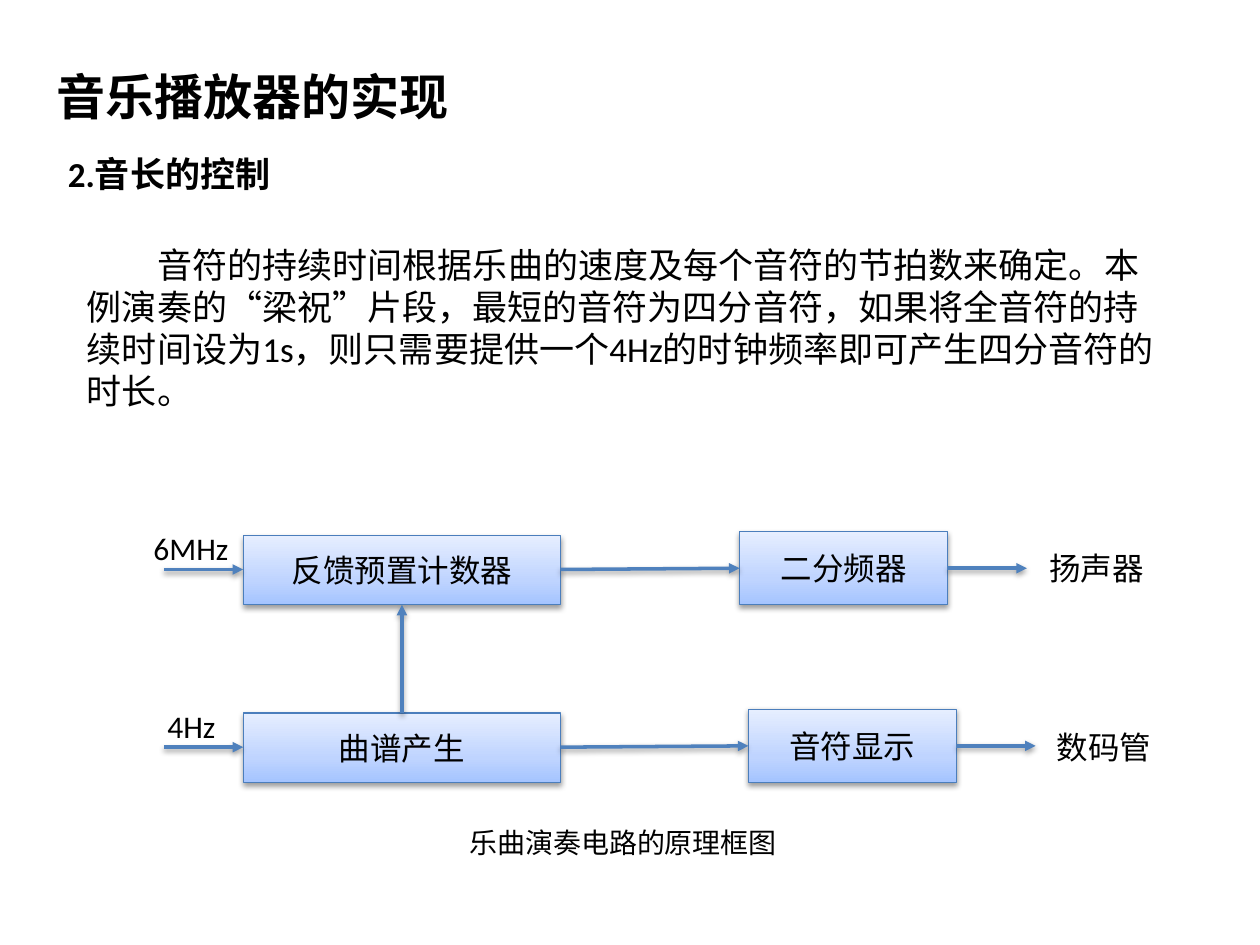
from copy import deepcopy

from pptx import Presentation, util as u
from pptx.dml.color import RGBColor
from pptx.enum import shapes, text
from pptx.oxml import parse_xml
from pptx.oxml.ns import nsdecls, qn

COLORS = {"ink": "000000", "border": "4B7EBC", "arrow": "4F81BD", "shadow": "000000"}
BLUE_STOPS = [(0, "A4C4FF"), (0.35, "BFD4FF"), (1, "E6EEFF")]
ROW_PITCH = 1.41


def rgb(name):
    return RGBColor.from_string(COLORS[name])


def write(frame, words, size, font="Calibri", bold=False, align=text.PP_ALIGN.LEFT):
    frame.text = words
    para = frame.paragraphs[0]
    para.alignment = align
    span = para.runs[0]
    span.font.size, span.font.bold = u.Pt(size), bold
    span.font.name, span.font.color.rgb = font, rgb("ink")
    return para


def place(item, left, top, width, height):
    item.left, item.top = u.Inches(left), u.Inches(top)
    item.width, item.height = u.Inches(width), u.Inches(height)


def add_shadow(item):
    properties = item._element.spPr
    for effects in properties.findall(qn("a:effectLst")):
        properties.remove(effects)
    properties.append(parse_xml(
        f'<a:effectLst {nsdecls("a")}><a:outerShdw blurRad="40000" dist="20000" '
        f'dir="5400000" rotWithShape="0"><a:srgbClr val="{COLORS["shadow"]}">'
        '<a:alpha val="38000"/></a:srgbClr></a:outerShdw></a:effectLst>'))


def add_label(page, words, left, top, width, height, size=18, bold=False, wrap=False):
    label = page.shapes.add_textbox(*map(u.Inches, (left, top, width, height)))
    label.text_frame.word_wrap = wrap
    write(label.text_frame, words, size, bold=bold)


def add_block(page, words, left, top, width, height):
    block = page.shapes.add_shape(
        shapes.MSO_SHAPE.RECTANGLE, *map(u.Inches, (left, top, width, height)))
    block.fill.gradient()
    block.fill.gradient_angle = 90
    stops = block._element.spPr.find(qn("a:gradFill")).find(qn("a:gsLst"))
    stops.insert(1, deepcopy(stops[0]))
    for stop, (position, color) in zip(block.fill.gradient_stops, BLUE_STOPS):
        stop.position = position
        stop.color.rgb = RGBColor.from_string(color)
    block.line.color.rgb, block.line.width = rgb("border"), u.Pt(0.75)
    add_shadow(block)
    block.text_frame.vertical_anchor = text.MSO_ANCHOR.MIDDLE
    write(block.text_frame, words, 18, align=text.PP_ALIGN.CENTER)


def add_arrow(page, x1, y1, x2, y2):
    arrow = page.shapes.add_connector(
        shapes.MSO_CONNECTOR.STRAIGHT, *map(u.Inches, (x1, y1, x2, y2)))
    arrow.line.color.rgb, arrow.line.width = rgb("arrow"), u.Pt(2)
    arrow._element.spPr.find(qn("a:ln")).append(
        parse_xml(f'<a:tailEnd {nsdecls("a")} type="triangle"/>'))
    add_shadow(arrow)


def add_headings(page, left, top):
    title = page.shapes.title
    place(title, left, top, 3.36, 0.57)
    title.text_frame.word_wrap = False
    title.text_frame.vertical_anchor = text.MSO_ANCHOR.TOP
    write(title.text_frame, "音乐播放器的实现", 28, "Arial", bold=True)
    add_label(page, "2.音长的控制", left + 0.09, top + 0.68, 2.68, 0.44, 20, True, True)


def add_explanation(page, left, top, width, height):
    body = page.placeholders[1]
    place(body, left, top, width, height)
    para = write(
        body.text_frame,
        "音符的持续时间根据乐曲的速度及每个音符的节拍数来确定。本例演奏的“梁祝”片段，"
        "最短的音符为四分音符，如果将全音符的持续时间设为1s，则只需要提供一个4Hz的"
        "时钟频率即可产生四分音符的时长。", 20)
    para.space_before = u.Pt(0)
    layout = para._p.get_or_add_pPr()
    layout.set("marL", "0")
    layout.set("indent", str(u.Inches(0.56)))
    layout.append(parse_xml(f'<a:buNone {nsdecls("a")}/>'))


def add_signal_row(page, left, top, source, stage, output, sink, shift):
    """Draw clock, stage, output block and sink; shift moves the output right."""
    clock, clock_left, clock_width = source
    sink_words, sink_left, sink_top = sink
    stage_left, stage_right = left + 0.81, left + 3.33
    output_left = left + 4.75 + shift
    output_right = output_left + 1.65
    add_block(page, stage, stage_left, top + 0.1, 2.52, 0.55)
    add_block(page, output, output_left, top + 0.07, 1.65, 0.58)
    add_arrow(page, left + 0.18, top + 0.37, stage_left, top + 0.37)
    add_arrow(page, stage_right, top + 0.37, output_left, top + 0.36)
    add_arrow(page, output_right, top + 0.36, output_right + 0.63, top + 0.36)
    add_label(page, clock, left + clock_left, top, clock_width, 0.4)
    add_label(page, sink_words, left + sink_left, top + sink_top, 0.96, 0.4)


def add_diagram(page, left, top):
    rows = [
        (("6MHz", 0, 0.8), "反馈预置计数器", "二分频器", ("扬声器", 7.11, 0.16), 0),
        (("4Hz", 0.11, 0.59), "曲谱产生", "音符显示", ("数码管", 7.17, 0.17), 0.07),
    ]
    for index, row in enumerate(rows):
        add_signal_row(page, left, top + index * ROW_PITCH, *row)
    middle = left + 2.07
    add_arrow(page, middle, top + ROW_PITCH + 0.1, middle, top + 0.65)
    add_label(page, "乐曲演奏电路的原理框图", left + 2.51, top + 2.35, 2.67, 0.37, 16)


def main():
    deck = Presentation()
    deck.slide_width, deck.slide_height = u.Inches(10), u.Inches(7.5)
    page = deck.slides.add_slide(deck.slide_layouts[1])
    add_headings(page, 0.35, 0.48)
    add_explanation(page, 0.59, 1.88, 8.74, 1.45)
    add_diagram(page, 1.12, 4.15)
    deck.save("out.pptx")


if __name__ == "__main__":
    main()
